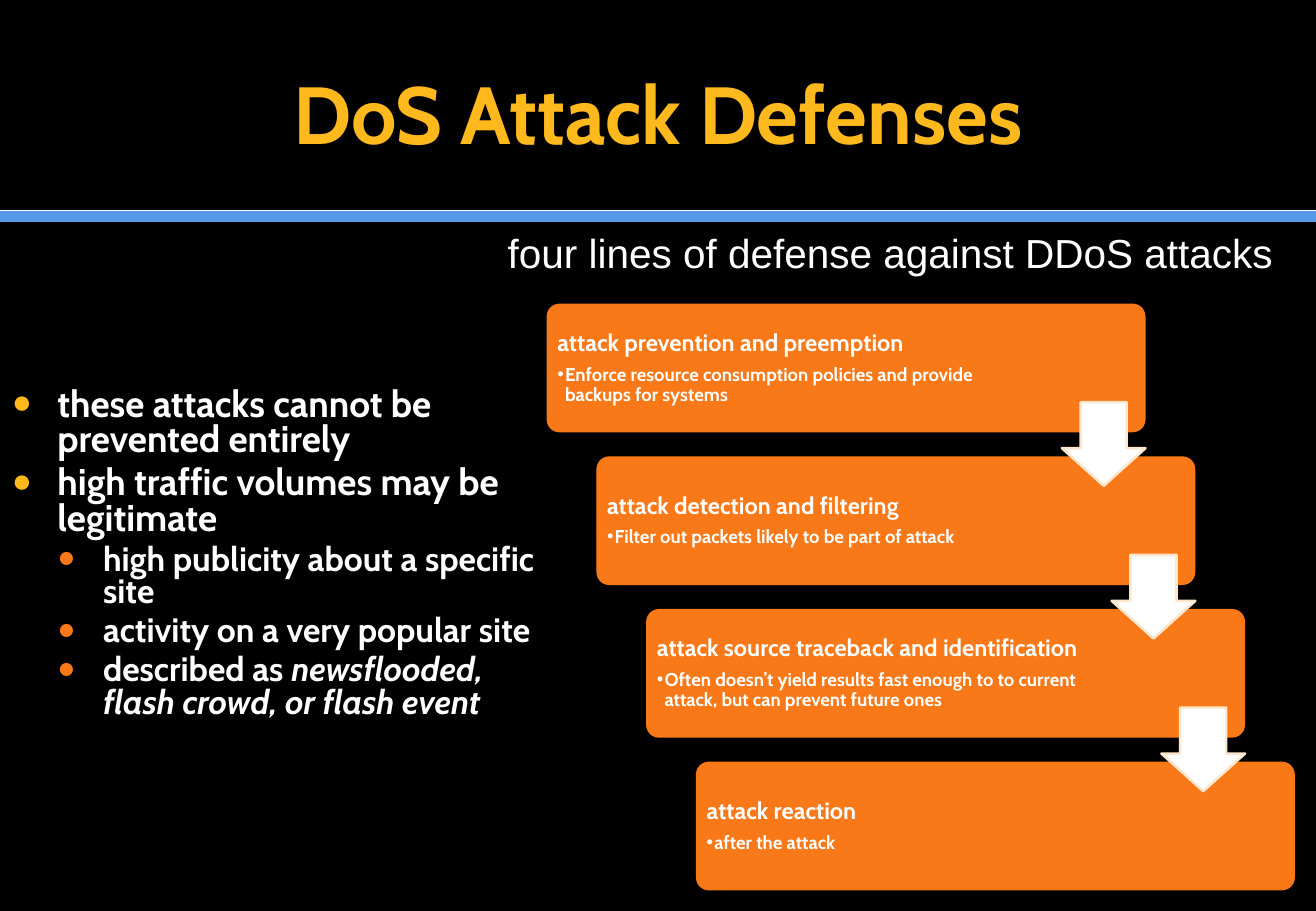
"""Build the slide on defenses against denial-of-service attacks."""
import lxml.etree
import pptx
import pptx.dml.color
import pptx.enum.shapes
import pptx.enum.text
import pptx.oxml.ns
import pptx.util

Pt = pptx.util.Pt
SHAPES = pptx.enum.shapes.MSO_SHAPE
ANCHOR = pptx.enum.text.MSO_ANCHOR
ALIGN = pptx.enum.text.PP_ALIGN
COLORS = {
    "black": "000000",
    "white": "FFFFFF",
    "gold": "FFB91D",
    "orange": "F97817",
    "blue": "5799E8",
    "cream": "FFE6CD",
}
LIMITS = [
    (0, "these attacks cannot be prevented entirely", ""),
    (0, "high traffic volumes may be legitimate", ""),
    (1, "high publicity about a specific site", ""),
    (1, "activity on a very popular site", ""),
    (1, "described as ", "newsflooded, flash crowd, or flash event"),
]
DEFENSES = [
    ("attack prevention and preemption",
     "Enforce resource consumption policies and provide backups for systems"),
    ("attack detection and filtering",
     "Filter out packets likely to be part of attack"),
    ("attack source traceback and identification",
     "Often doesn’t yield results fast enough to to current attack, but can prevent future ones"),
    ("attack reaction", "after the attack"),
]


def color(name):
    return pptx.dml.color.RGBColor.from_string(COLORS[name])


def add_span(para, text, size=11, fill="white", font="Cabin", bold=True, italic=False):
    span = para.add_run()
    span.text = text
    span.font.size = Pt(size)
    span.font.name = font
    span.font.bold = bold
    span.font.italic = italic
    span.font.color.rgb = color(fill)


class SlideBuilder:
    def __init__(self, deck):
        self.page = deck.slides.add_slide(deck.slide_layouts[6])
        self.page.background.fill.solid()
        self.page.background.fill.fore_color.rgb = color("black")

    def rule(self, top, fill, width):
        line = self.page.shapes.add_connector(
            pptx.enum.shapes.MSO_CONNECTOR.STRAIGHT, Pt(0), Pt(top), Pt(780), Pt(top))
        line.line.color.rgb = color(fill)
        line.line.width = Pt(width)
        lxml.etree.SubElement(line._element.spPr, pptx.oxml.ns.qn("a:effectLst"))

    def shape(self, kind, left, top, width, height, fill, adjust, outline=None):
        shape = self.page.shapes.add_shape(kind, Pt(left), Pt(top), Pt(width), Pt(height))
        shape.shadow.inherit = False
        for index, value in enumerate(adjust):
            shape.adjustments[index] = value
        shape.fill.solid()
        shape.fill.fore_color.rgb = color(fill)
        if outline:
            shape.line.color.rgb = color(outline)
            shape.line.width = Pt(1.5)
        else:
            shape.line.fill.background()

    def box(self, left, top, width, height, anchor=ANCHOR.TOP, inset=None):
        frame = self.page.shapes.add_textbox(
            Pt(left), Pt(top), Pt(width), Pt(height)).text_frame
        frame.word_wrap = True
        frame.vertical_anchor = anchor
        if inset is not None:
            frame.margin_left = frame.margin_right = Pt(inset)
            frame.margin_top = frame.margin_bottom = Pt(inset)
        return frame

    def bullet(self, para, char, fill, percent, margin, hang):
        props = para._p.get_or_add_pPr()
        props.set("marL", str(Pt(margin)))
        props.set("indent", str(-Pt(hang)))
        tint = lxml.etree.SubElement(props, pptx.oxml.ns.qn("a:buClr"))
        lxml.etree.SubElement(tint, pptx.oxml.ns.qn("a:srgbClr"), val=COLORS[fill])
        lxml.etree.SubElement(props, pptx.oxml.ns.qn("a:buSzPct"), val=str(percent * 1000))
        lxml.etree.SubElement(props, pptx.oxml.ns.qn("a:buFont"), typeface="Arial")
        lxml.etree.SubElement(props, pptx.oxml.ns.qn("a:buChar"), char=char)

    def limits(self, items):
        frame = self.box(0, 226.8, 335.5, 313.2)
        for index, (level, text, emphasis) in enumerate(items):
            para = frame.add_paragraph() if index else frame.paragraphs[0]
            size = 20 if level else 22
            self.bullet(para, "●", "orange" if level else "gold", 90, 27 * (level + 1), 27)
            para.level = level
            para.line_spacing = 0.8
            if index:
                para.space_before = Pt(size * 0.2)
            add_span(para, text, size=size)
            if emphasis:
                add_span(para, emphasis, size=size, italic=True)

    def defense(self, left, top, heading, detail):
        self.shape(SHAPES.ROUNDED_RECTANGLE, left, top, 355, 76.3, "orange", [0.1])
        frame = self.box(left + 2.2, top + 2.2, 271.4, 72, ANCHOR.MIDDLE, 4.2)
        head, note = frame.paragraphs[0], frame.add_paragraph()
        self.bullet(note, "•", "white", 100, 4.5, 4.5)
        note.level = 1
        for para, text, size, after in ((head, heading, 14, 5), (note, detail, 11, 1.7)):
            para.line_spacing = 0.9
            para.space_after = Pt(after)
            add_span(para, text, size=size)


def main():
    deck = pptx.Presentation()
    deck.slide_width, deck.slide_height = Pt(780), Pt(540)
    builder = SlideBuilder(deck)
    builder.rule(128.2, "blue", 7)
    builder.rule(124.6, "white", 0.5)
    title = builder.box(39, 21.6, 702, 90, ANCHOR.MIDDLE).paragraphs[0]
    title.alignment = ALIGN.CENTER
    add_span(title, "DoS Attack Defenses", size=48, fill="gold")
    builder.limits(LIMITS)
    step_x, step_y = 29.5, 90.5
    for index, (heading, detail) in enumerate(DEFENSES):
        builder.defense(324 + index * step_x, 180 + index * step_y, heading, detail)
    for index in range(len(DEFENSES) - 1):
        builder.shape(SHAPES.DOWN_ARROW, 629.4 + index * step_x, 238.4 + index * step_y,
                      49.6, 49.6, "white", [0.55, 0.45], "cream")
    caption = builder.box(293.8, 131.8, 486, 58.3).paragraphs[0]
    add_span(caption, "four lines of defense against DDoS attacks",
             size=24, font="Arial", bold=False)
    deck.save("out.pptx")


if __name__ == "__main__":
    main()
